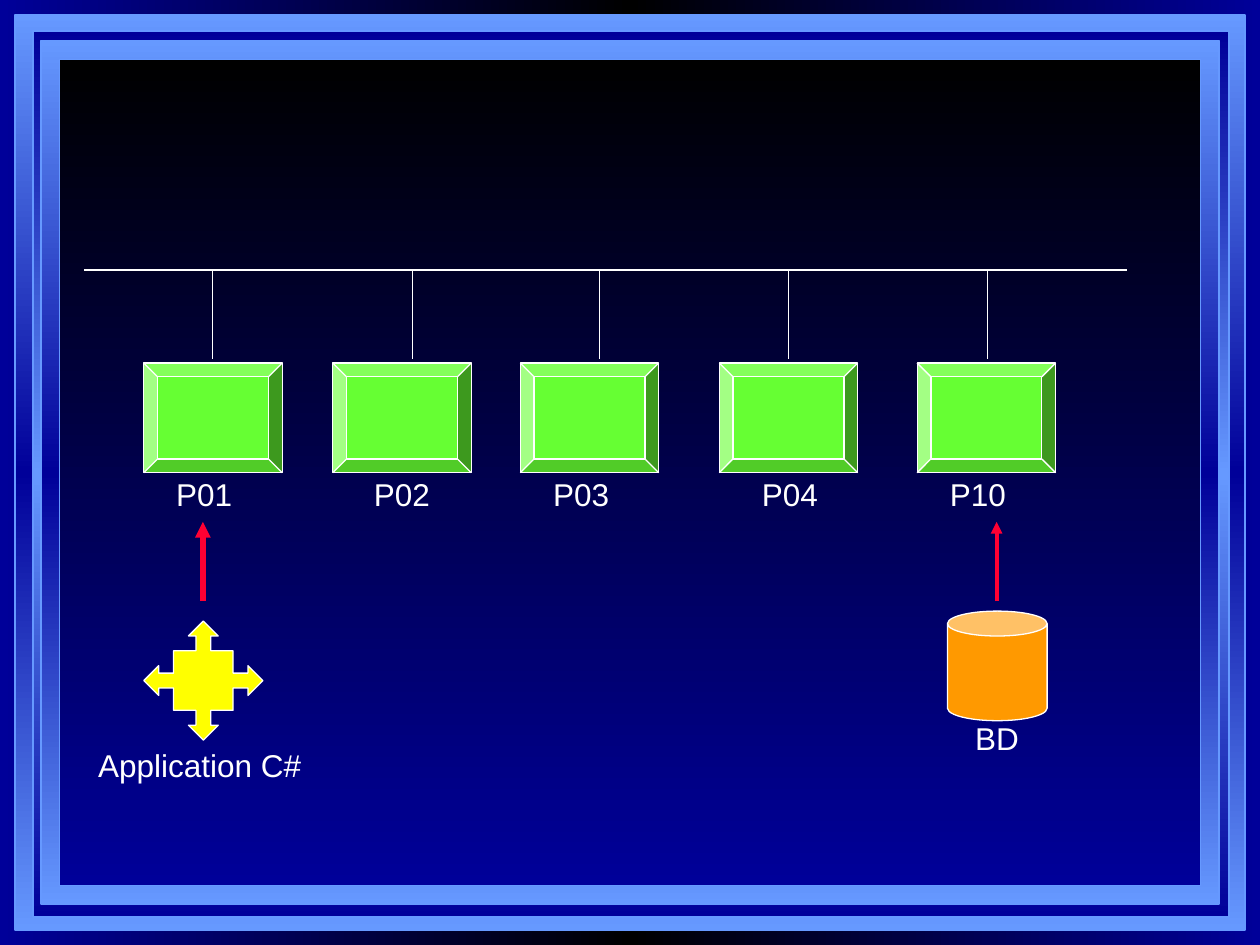
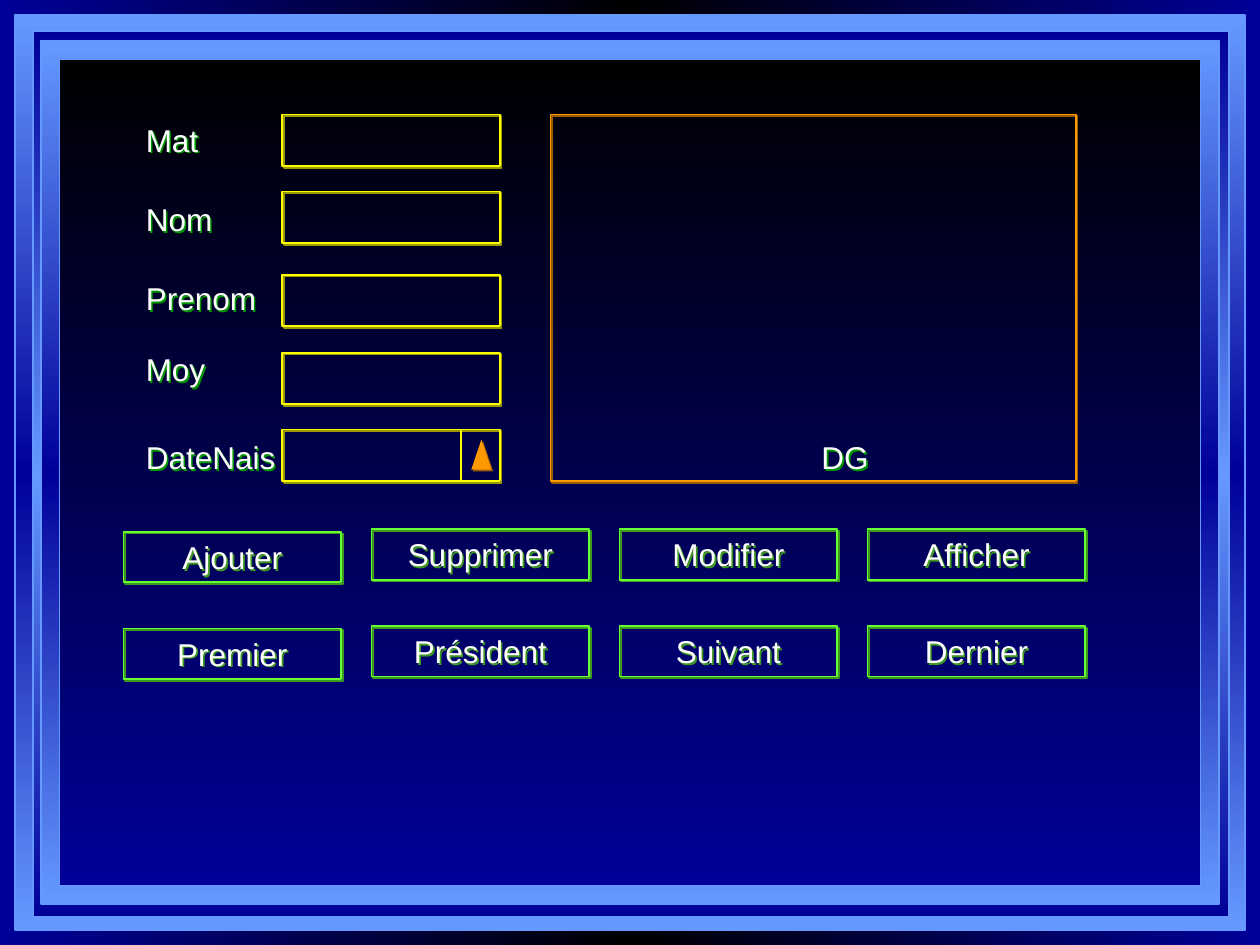
from copy import deepcopy
from dataclasses import dataclass

from lxml.etree import SubElement
from pptx import Presentation
from pptx.dml.color import RGBColor
from pptx.enum.shapes import MSO_CONNECTOR, MSO_SHAPE
from pptx.enum.text import MSO_ANCHOR, MSO_AUTO_SIZE, PP_ALIGN
from pptx.oxml.ns import qn
from pptx.util import Cm, Pt


@dataclass(frozen=True)
class Theme:
    font: str = "Arial"
    size: float = 18
    thin: float = 0.75
    edge: float = 1
    white: str = "FFFFFF"
    black: str = "000000"
    navy: str = "000099"
    sky: str = "6699FF"
    lime: str = "66FF33"
    yellow: str = "FFFF00"
    orange: str = "FF9900"
    red: str = "FF0033"
    # Shadows
    moss: str = "3D991F"
    olive: str = "999900"
    brown: str = "995C00"
    green: str = "009900"


T = Theme()

# All lengths are in centimetres: left, top, width, height.
FRAMES = [
    ((0.3, 0.3, 24.8, 18.45), (T.sky, T.navy, T.sky)),
    ((0.67, 0.62, 24.1, 17.87), (T.navy, T.sky, T.navy)),
    ((0.83, 0.82, 23.74, 17.41), (T.sky, T.navy, T.sky)),
    ((1.2, 1.2, 23.0, 16.65), (T.black, T.navy)),
]

# Name, left of the machine, x of its cable, left of its label
POSTS = [
    ("P01", 2.9, 4.29, 3.3),
    ("P02", 6.71, 8.31, 7.29),
    ("P03", 10.49, 12.09, 10.9),
    ("P04", 14.5, 15.9, 15.11),
    ("P10", 18.49, 19.91, 18.9),
]
BUS = (1.7, 22.71, 5.44)
ARROWS = [(4.09, 3), (20.09, 2.25)]

# Name, top of the label, top of the entry box
FIELDS = [
    ("Mat", 2.31, 2.31),
    ("Nom", 3.91, 3.86),
    ("Prenom", 5.51, 5.54),
    ("Moy", 6.93, 7.11),
    ("DateNais", 8.71, 8.66),
]
BUTTONS = [
    ("Ajouter", "Supprimer", "Modifier", "Afficher"),
    ("Premier", "Président", "Suivant", "Dernier"),
]


def blend(fill, node, tones, angle):
    """Fill with evenly spaced gradient stops; node holds the fill's XML."""
    fill.gradient()
    fill.gradient_angle = angle
    stops = next(node.iter(qn("a:gsLst")))
    while len(stops) < len(tones):
        stops.append(deepcopy(stops[0]))
    for i, (stop, tone) in enumerate(zip(fill.gradient_stops, tones)):
        stop.color.rgb = RGBColor.from_string(tone)
        stop.position = i / (len(tones) - 1)


def shade(shape, tone):
    """Replace the inherited shadow by a hard one, or by none."""
    shape.shadow.inherit = False
    if tone:
        effects = shape.element.spPr.find(qn("a:effectLst"))
        outer = SubElement(effects, qn("a:outerShdw"), dist=str(Pt(1.4)),
                           dir="2700000", algn="ctr", rotWithShape="0")
        SubElement(outer, qn("a:srgbClr"), val=tone)


def draw(slide, kind, box, fill=None, line=None, width=T.edge, shadow=None):
    shape = slide.shapes.add_shape(kind, *map(Cm, box))
    if fill:
        shape.fill.solid()
        shape.fill.fore_color.rgb = RGBColor.from_string(fill)
    else:
        shape.fill.background()
    if line:
        shape.line.color.rgb = RGBColor.from_string(line)
        shape.line.width = Pt(width)
    else:
        shape.line.fill.background()
    shade(shape, shadow)
    return shape


def write(shape, text, align=PP_ALIGN.LEFT, wrap=True):
    frame = shape.text_frame
    frame.word_wrap = wrap
    frame.auto_size = MSO_AUTO_SIZE.SHAPE_TO_FIT_TEXT
    frame.vertical_anchor = MSO_ANCHOR.TOP
    para = frame.paragraphs[0]
    para.alignment = align
    run = para.add_run()
    run.text = text
    run.font.name = T.font
    run.font.size = Pt(T.size)
    run.font.color.rgb = RGBColor.from_string(T.white)


def label(slide, text, left, top, width, wrap=False, shadow=None):
    box = slide.shapes.add_textbox(*map(Cm, (left, top, width, 1.02)))
    shade(box, shadow)
    write(box, text, wrap=wrap)


def link(slide, start, end, tone=T.white, width=T.thin, arrow=False):
    line = slide.shapes.add_connector(
        MSO_CONNECTOR.STRAIGHT, *map(Cm, start + end))
    line.line.color.rgb = RGBColor.from_string(tone)
    line.line.width = Pt(width)
    props = line.element.spPr
    if arrow:
        SubElement(props.find(qn("a:ln")), qn("a:tailEnd"), type="triangle")
    SubElement(props, qn("a:effectLst"))


def dress(master, slide):
    """Give the master its background and nested frames, drawn via a slide."""
    blend(master.background.fill, master.element,
          (T.navy, T.black, T.navy), 0)
    for box, tones in FRAMES:
        frame = draw(slide, MSO_SHAPE.RECTANGLE, box, line=T.sky)
        blend(frame.fill, frame.element, tones, 270)
        master.shapes.element.append(frame.element)


def network(slide):
    left, right, top = BUS
    link(slide, (left, top), (right, top))
    for name, post, cable, text in POSTS:
        link(slide, (cable, top), (cable, 7.24))
        draw(slide, MSO_SHAPE.BEVEL, (post, 7.32, 2.79, 2.21),
             T.lime, T.white, T.thin)
        label(slide, name, text, 9.45, 1.8)

    draw(slide, MSO_SHAPE.CAN, (19.1, 12.32, 2.01, 2.21),
         T.orange, T.white, T.thin)
    label(slide, "BD", 19.41, 14.38, 1.55)
    app = draw(slide, MSO_SHAPE.QUAD_ARROW_CALLOUT, (2.9, 12.52, 2.4, 2.4),
               T.yellow, T.white, T.thin)
    for i, share in enumerate((0.125, 0.125, 0.125, 0.5)):
        app.adjustments[i] = share
    label(slide, "Application C#", 1.73, 14.91, 4.78)
    for x, width in ARROWS:
        link(slide, (x, 12.12), (x, 10.52), T.red, width, arrow=True)


def form(slide):
    rect = MSO_SHAPE.RECTANGLE
    for name, text, entry in FIELDS:
        label(slide, name, 2.69, text, 3.61, True, T.green)
        draw(slide, rect, (5.69, entry, 4.39, 1.04),
             line=T.yellow, shadow=T.olive)
    link(slide, (9.3, 8.66), (9.3, 9.68), T.yellow, T.edge)
    draw(slide, MSO_SHAPE.ISOSCELES_TRIANGLE, (9.5, 8.86, 0.41, 0.61),
         T.orange, shadow=T.brown)

    draw(slide, rect, (11.1, 2.31, 10.59, 7.39),
         line=T.orange, shadow=T.brown)
    label(slide, "DG", 16.31, 8.71, 3.61, True, T.green)

    for row, names in enumerate(BUTTONS):
        for col, name in enumerate(names):
            drop = 0.05 if col == 0 else 0
            box = (2.49 + 5 * col, 10.67 + 1.95 * row + drop, 4.39, 1.02)
            button = draw(slide, rect, box, line=T.lime, shadow=T.moss)
            write(button, name, PP_ALIGN.CENTER)


def main():
    deck = Presentation()
    deck.slide_width, deck.slide_height = Cm(25.4), Cm(19.05)
    blank = deck.slide_layouts[6]
    first, second = (deck.slides.add_slide(blank) for _ in range(2))
    dress(deck.slide_master, first)
    network(first)
    form(second)
    deck.save("out.pptx")


if __name__ == "__main__":
    main()
